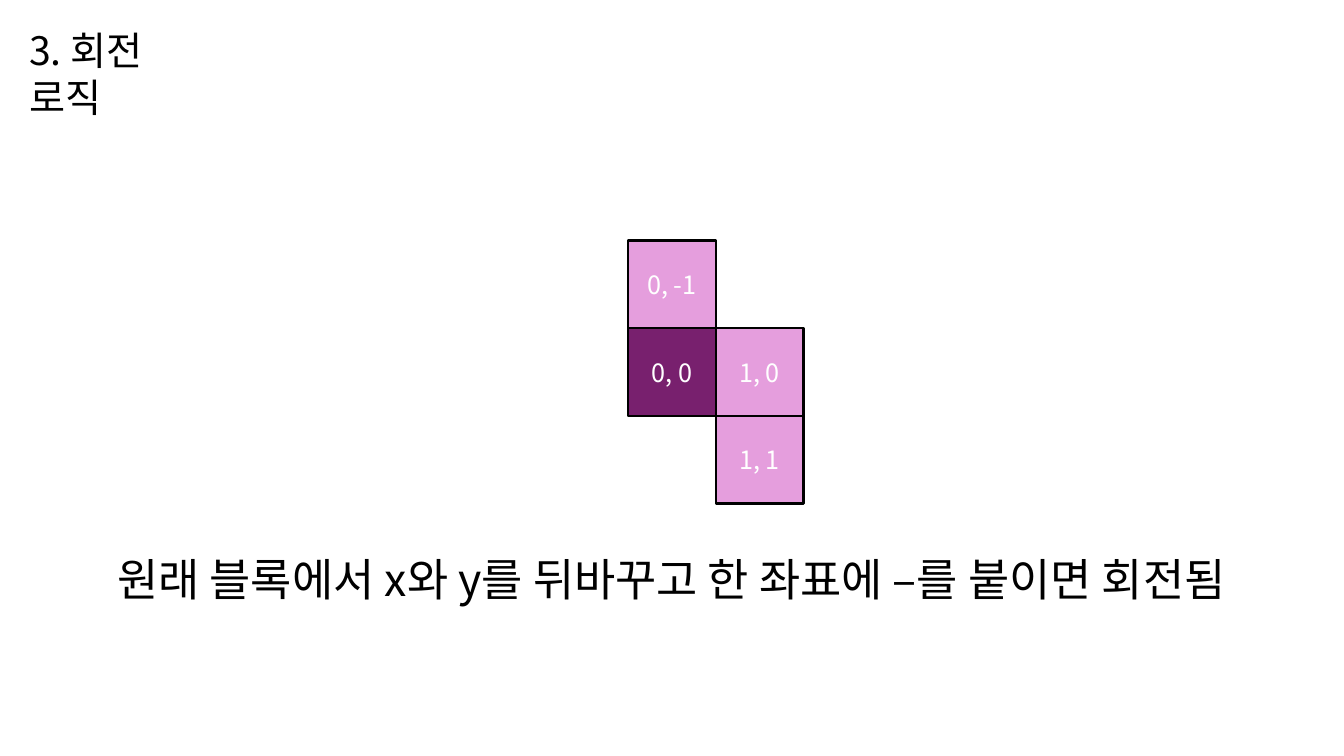
from pptx import Presentation
from pptx.dml.color import RGBColor
from pptx.enum import shapes, text
from pptx.oxml import ns
from pptx.util import Cm, Pt

TITLE = "3. 회전 로직"
RULE = "원래 블록에서 x와 y를 뒤바꾸고 한 좌표에 –를 붙이면 회전됨"
BLOCK_CELLS = [(1, 0), (0, 0), (0, -1), (1, 1)]
PIVOT = (0, 0)

FONT = "Noto Sans CJK KR"
BLACK = RGBColor(0x00, 0x00, 0x00)
WHITE = RGBColor(0xFF, 0xFF, 0xFF)
PINK = RGBColor(0xE5, 0x9E, 0xDD)
PURPLE = RGBColor(0x78, 0x20, 0x6E)

CELL = Cm(2.21)
PIVOT_LEFT, PIVOT_TOP = Cm(15.83), Cm(8.27)


def write(frame, words, size, color, align):
    frame.word_wrap = True
    paragraph = frame.paragraphs[0]
    paragraph.alignment = align
    run = paragraph.add_run()
    run.text = words
    run.font.size = Pt(size)
    run.font.name = FONT
    run.font.color.rgb = color
    # Korean glyphs take the East Asian typeface
    east_asian = run.font._element.makeelement(ns.qn("a:ea"), {"typeface": FONT})
    run.font._element.append(east_asian)


def write_growing(box, words, size, align):
    """Write top-anchored black text in a box that grows to fit it."""
    frame = box.text_frame
    frame.vertical_anchor = text.MSO_ANCHOR.TOP
    frame.auto_size = text.MSO_AUTO_SIZE.SHAPE_TO_FIT_TEXT
    write(frame, words, size, BLACK, align)


deck = Presentation()
deck.slide_width, deck.slide_height = Cm(33.87), Cm(19.05)
slide = deck.slides.add_slide(deck.slide_layouts[5])

title = slide.shapes.title
title.left, title.top, title.width, title.height = Cm(0.48), Cm(0.53), Cm(5.28), Cm(1.45)
write_growing(title, TITLE, 28, text.PP_ALIGN.LEFT)

rule = slide.shapes.add_textbox(Cm(2.54), Cm(13.79), Cm(28.78), Cm(1.63))
write_growing(rule, RULE, 32, text.PP_ALIGN.CENTER)

for x, y in BLOCK_CELLS:
    cell = slide.shapes.add_shape(
        shapes.MSO_SHAPE.RECTANGLE,
        PIVOT_LEFT + x * CELL, PIVOT_TOP + y * CELL, CELL, CELL)
    cell.shadow.inherit = False
    cell.fill.solid()
    cell.fill.fore_color.rgb = PURPLE if (x, y) == PIVOT else PINK
    cell.line.color.rgb = BLACK
    cell.line.width = Pt(1.5)
    cell.text_frame.vertical_anchor = text.MSO_ANCHOR.MIDDLE
    write(cell.text_frame, f"{x}, {y}", 18, WHITE, text.PP_ALIGN.CENTER)

deck.save("out.pptx")
